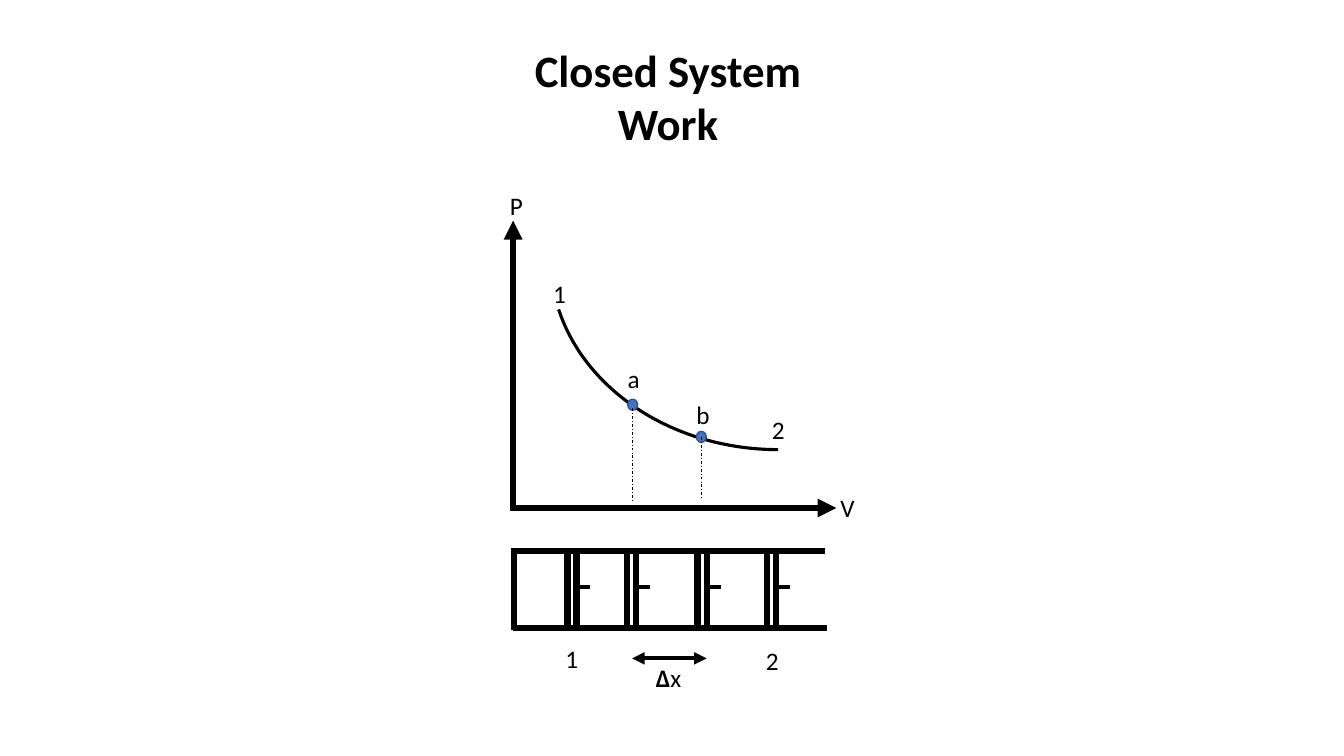
from pptx import Presentation
from pptx.dml.color import RGBColor
from pptx.enum.dml import MSO_LINE
from pptx.enum.shapes import MSO_CONNECTOR, MSO_SHAPE
from pptx.enum.text import MSO_ANCHOR, MSO_AUTO_SIZE, PP_ALIGN
from pptx.oxml.ns import qn
from pptx.util import Cm, Pt
from lxml.etree import SubElement


def color(hex_text):
    return RGBColor.from_string(hex_text)


def apply(target, values):
    for name, value in values.items():
        setattr(target, name, value)


class Sketch:
    font = "Calibri"
    ink = "000000"
    point_fill = "4472C4"
    point_line = "325491"
    label_size = 18
    wall = 4.5

    def __init__(self, page):
        self.page = page

    def add_span(self, para, text, size, bold=False):
        span = para.add_run()
        span.text = text
        apply(span.font, {"name": self.font, "size": Pt(size), "bold": bold})
        span.font.color.rgb = color(self.ink)

    def title(self, text, left, top, width, height):
        box = self.page.shapes.title
        apply(box, {"left": Cm(left), "top": Cm(top),
                    "width": Cm(width), "height": Cm(height)})
        apply(box.text_frame, {"word_wrap": True, "auto_size": MSO_AUTO_SIZE.NONE,
                               "vertical_anchor": MSO_ANCHOR.TOP})
        para = box.text_frame.paragraphs[0]
        para.alignment = PP_ALIGN.CENTER
        self.add_span(para, text, 32, bold=True)

    def label(self, spans, left, top, width=0.71):
        box = self.page.shapes.add_textbox(Cm(left), Cm(top), Cm(width), Cm(1.02))
        box.text_frame.word_wrap = True
        para = box.text_frame.paragraphs[0]
        for text, bold in spans:
            self.add_span(para, text, self.label_size, bold)

    def line(self, start, end, weight, dash=None, arrows=()):
        line = self.page.shapes.add_connector(
            MSO_CONNECTOR.STRAIGHT, *map(Cm, start + end))
        line.line.color.rgb = color(self.ink)
        line.line.width = Pt(weight)
        if dash:
            line.line.dash_style = dash
        outline = line._element.spPr.find(qn("a:ln"))
        for arrow in arrows:
            SubElement(outline, qn(f"a:{arrow}"), type="triangle")
        SubElement(line._element.spPr, qn("a:effectLst"))

    def arc(self, left, top, width, height, angles):
        arc = self.page.shapes.add_shape(
            MSO_SHAPE.ARC, Cm(left), Cm(top), Cm(width), Cm(height))
        arc.rotation = 180
        for index, angle in enumerate(angles):
            arc.adjustments[index] = angle * 0.6
        arc.shadow.inherit = False
        arc.fill.background()
        arc.line.color.rgb = color(self.ink)
        arc.line.width = Pt(2.25)

    def point(self, left, top):
        dot = self.page.shapes.add_shape(
            MSO_SHAPE.OVAL, Cm(left), Cm(top), Cm(0.25), Cm(0.28))
        dot.shadow.inherit = False
        dot.fill.solid()
        dot.fill.fore_color.rgb = color(self.point_fill)
        dot.line.color.rgb = color(self.point_line)
        dot.line.width = Pt(1)

    def piston(self, left):
        for face in (left, left + 0.23):
            self.line((face, 15.84), (face, 13.85), self.wall)
        self.line((left + 0.25, 14.8), (left + 0.58, 14.8), 3)


deck = Presentation()
deck.slide_width, deck.slide_height = Cm(33.87), Cm(19.05)
sketch = Sketch(deck.slides.add_slide(deck.slide_layouts[5]))
sketch.title("Closed System Work", 12.29, 0.94, 9.09, 3)

# Pressure and volume axes with the process curve
sketch.line((12.93, 12.88), (12.93, 5.56), sketch.wall, arrows=["tailEnd"])
sketch.line((12.9, 12.8), (21.08, 12.8), sketch.wall, arrows=["tailEnd"])
sketch.arc(13.87, 1.7, 11.48, 9.63, (270, 346.97))

# Cylinder walls and piston positions
sketch.line((12.88, 13.89), (20.8, 13.89), sketch.wall)
sketch.line((12.93, 15.82), (20.85, 15.82), sketch.wall)
sketch.line((12.95, 15.88), (12.95, 13.89), sketch.wall)
for piston_left in (14.3, 15.8, 17.58, 19.33):
    sketch.piston(piston_left)

# States a and b with their drop lines
for left, top in ((15.82, 10.06), (17.55, 10.87)):
    sketch.point(left, top)
for x, top in ((15.93, 10.29), (17.68, 11.02)):
    sketch.line((x, top), (x, 12.6), 0.5, dash=MSO_LINE.DASH_DOT)

# Piston displacement
sketch.line((15.93, 16.59), (17.81, 16.59), 3, arrows=["headEnd", "tailEnd"])
sketch.label([("Δ", True), ("x", False)], 16.28, 16.56, 1.3)

# Labels of axes, states and pistons
for text, left, top in (("P", 12.6, 4.67), ("V", 20.93, 12.29),
                        ("1", 13.69, 6.88), ("a", 15.57, 9.02),
                        ("b", 17.3, 9.93), ("2", 19.2, 10.31),
                        ("1", 14, 16.08), ("2", 19.05, 16.13)):
    sketch.label([(text, False)], left, top)

deck.save("out.pptx")
